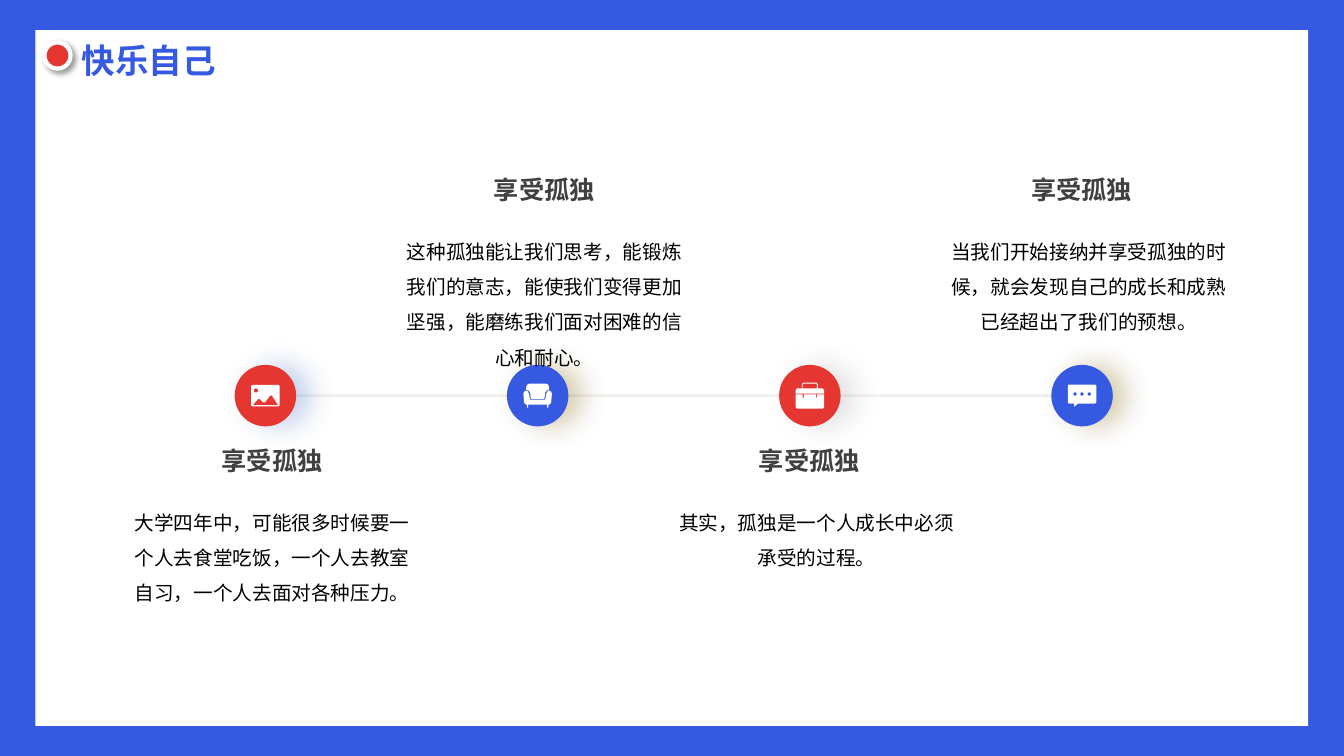
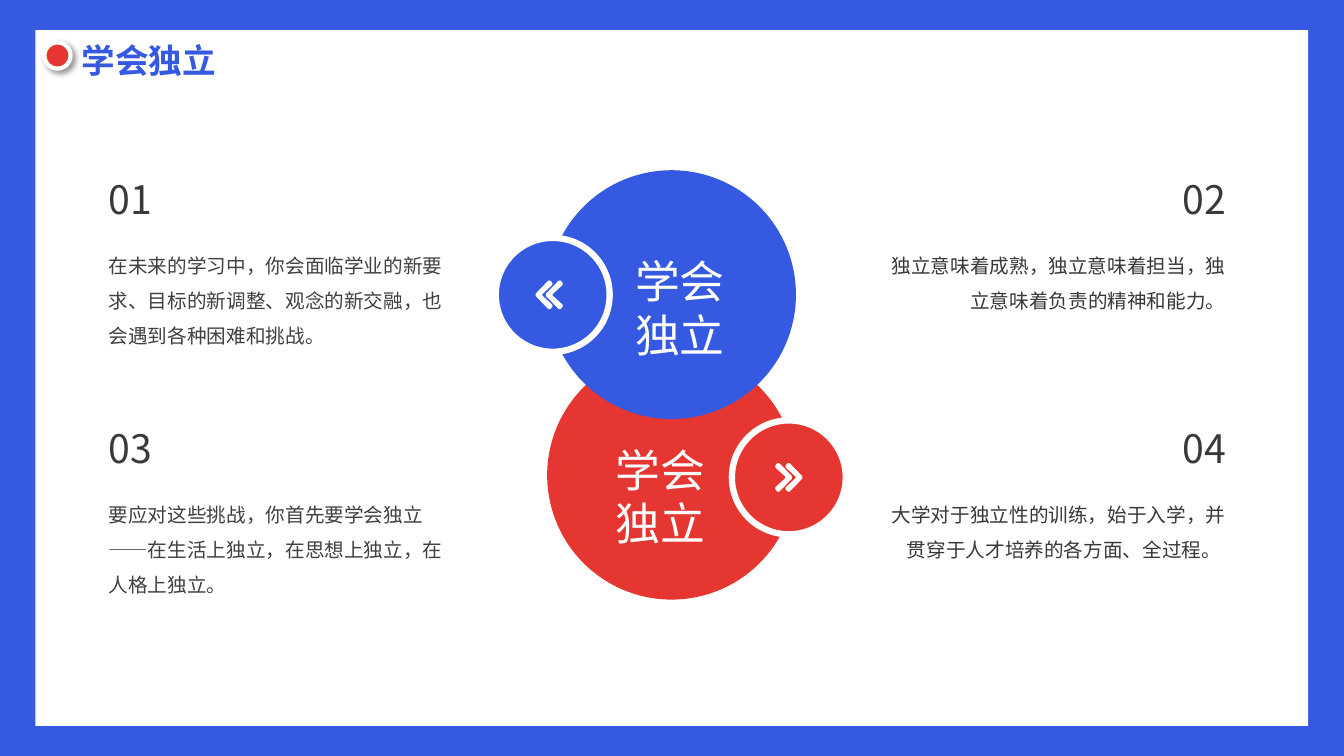
"""Build two framed slides: a four-step timeline and a pair of linked circles."""
from dataclasses import dataclass
from math import cos, pi, sin

from pptx import Presentation
from pptx.dml.color import RGBColor as RGB
from pptx.enum.shapes import MSO_CONNECTOR as Link, MSO_SHAPE as Kind
from pptx.enum.text import MSO_ANCHOR as Anchor, MSO_AUTO_SIZE as Fit, PP_ALIGN as Align
from pptx.oxml.ns import qn
from pptx.oxml.xmlchemy import OxmlElement as Node
from pptx.util import Cm, Pt


@dataclass(frozen=True)
class Theme:
    face: str = "Noto Sans CJK SC"
    blue: str = "3559E1"
    red: str = "E53631"
    white: str = "FFFFFF"
    black: str = "000000"
    gray: str = "404040"
    dark: str = "3B3838"
    soft: str = "383838"
    rule: str = "808080"
    title: int = 24
    head: int = 18
    body: int = 14
    num: int = 28
    big: int = 32


T = Theme()


def paint(shape, fill, line=None, width=0, glow=None):
    shape.shadow.inherit = False
    shape.fill.solid()
    shape.fill.fore_color.rgb = RGB.from_string(fill)
    if line:
        shape.line.color.rgb = RGB.from_string(line)
        shape.line.width = Pt(width)
    else:
        shape.line.fill.background()
    if glow:
        tint, alpha, blur, dist, angle = glow
        cast, color, clear = Node("a:outerShdw"), Node("a:srgbClr"), Node("a:alpha")
        for key, val in {"blurRad": Pt(blur), "dist": Pt(dist), "dir": angle * 60000,
                         "algn": "ctr", "rotWithShape": 0}.items():
            cast.set(key, str(val))
        color.set("val", tint)
        clear.set("val", str(alpha * 1000))
        color.append(clear)
        cast.append(color)
        shape.element.spPr.find(qn("a:effectLst")).append(cast)
    return shape


def write(shape, text, size, color, align=Align.LEFT, bold=False, space=1.0, fit=Fit.SHAPE_TO_FIT_TEXT):
    frame = shape.text_frame
    para = frame.paragraphs[0]
    run = para.add_run()
    run.text = text
    run.font.color.rgb = RGB.from_string(color)
    for part, vals in (
        (frame, {"word_wrap": True, "auto_size": fit, "vertical_anchor": Anchor.TOP}),
        (para, {"alignment": align, "line_spacing": space}),
        (run.font, {"name": T.face, "size": Pt(size), "bold": bold}),
    ):
        for key, val in vals.items():
            setattr(part, key, val)
    east = Node("a:ea")
    east.set("typeface", T.face)
    run.font._element.find(qn("a:latin")).addnext(east)


deck = Presentation()
deck.slide_width, deck.slide_height = Cm(33.87), Cm(19.05)
plain = deck.slide_layouts[5]

pages = []
for name in ("快乐自己", "学会独立"):
    page = deck.slides.add_slide(plain)
    title = page.shapes.title
    for key, val in {"left": 1.8, "top": 0.89, "width": 9.93, "height": 1.27}.items():
        setattr(title, key, Cm(val))
    write(title, name, T.title, T.blue, bold=True, fit=Fit.NONE)
    pages.append(page)
lone, free = pages

frame = (
    (Kind.RECTANGLE, (0, 0, 33.87, 19.05), {"fill": T.blue}),
    (Kind.RECTANGLE, (0.89, 0.76, 32.08, 17.53), {"fill": T.white}),
    (Kind.OVAL, (1.12, 1.07, 0.66, 0.66),
     {"fill": T.red, "line": T.white, "width": 3, "glow": (T.black, 40, 4, 3, 45)}),
)
for n, (kind, box, look) in enumerate(frame):
    band = paint(lone.shapes.add_shape(kind, *map(Cm, box)), **look).element
    band.find(".//" + qn("p:cNvPr")).set("id", str(20 + n))
    plain.shapes.element.insert(2 + n, band)

ring = [(cos(k * pi / 8), sin(k * pi / 8)) for k in range(16)]
photo = [
    [(-36, -24), (-33, -27), (33, -27), (36, -24), (36, 24), (33, 27), (-33, 27), (-36, 24)],
    [(17, 1), (14, -1), (11, 1), (-1, 17), (-6, 17), (-14, 9), (-19, 9), (-32, 24), (32, 24)],
    [(-24 + 5 * x, -13 + 5 * y) for x, y in ring],
]
sofa = [
    [(19, 10), (22, -5), (25, -11), (29, -13), (34, -10), (36, -5), (34, 18), (29, 23),
     (27, 23), (27, 30), (24, 30), (24, 23)],
    [(17, 8), (19, -8), (23, -13), (29, -15), (29, -20), (27, -27), (22, -30)],
]
case = [
    [(15, -3), (15, 5), (18, 5), (18, -3), (36, -3), (36, 28), (33, 33)],
    [(17, -33), (20, -28), (20, -18), (33, -18), (36, -13), (36, -5)],
    [(15, -30), (18, -28), (18, -18)],
]
sofa, case = ([half + [(-x, y) for x, y in half[::-1]] for half in icon] for icon in (sofa, case))
chat = [[(-33, -28), (33, -28), (36, -25), (36, 17), (33, 20), (-10, 20), (-20, 28),
         (-20, 20), (-33, 20), (-36, 17), (-36, -25)]]
chat += [[(mid + 4 * x, -4 + 4 * y) for x, y in ring] for mid in (-18, 0, 18)]
hook = [(10, 36), (5, 36), (0, 30), (0, 25), (25, 2), (25, -2), (0, -25), (0, -30),
        (5, -36), (10, -36), (42, -3), (42, 3)]
ahead = [[(x + start, y) for x, y in hook] for start in (-34, -8)]
back = [[(-x, y) for x, y in part] for part in ahead]
icons = []

axis, size, first, step = 9.97, 1.55, 6.69, 6.86
rail = lone.shapes.add_connector(Link.STRAIGHT, Cm(first + size / 2), Cm(axis),
                                 Cm(first + 3 * step - size / 2), Cm(axis))
rail.line.color.rgb = RGB.from_string(T.rule)
rail.line.width = Pt(1.5)
fade = Node("a:alpha")
fade.set("val", "15000")
rail.element.find(".//" + qn("a:srgbClr")).append(fade)
rail.element.spPr.append(Node("a:effectLst"))

steps = (
    ("大学四年中，可能很多时候要一个人去食堂吃饭，一个人去教室自习，一个人去面对各种压力。",
     photo, "4472C4", 2.84),
    ("这种孤独能让我们思考，能锻炼我们的意志，能使我们变得更加坚强，能磨练我们面对困难的信心和耐心。",
     sofa, "806000", 3.73),
    ("其实，孤独是一个人成长中必须承受的过程。", case, "A5A5A5", 1.96),
    ("当我们开始接纳并享受孤独的时候，就会发现自己的成长和成熟已经超出了我们的预想。",
     chat, "806000", 2.84),
)
for n, (text, icon, tint, tall) in enumerate(steps):
    mid, left = first + n * step, 2.95 + n * step
    top = (11.1, 4.27)[n % 2]
    shift, wide = ((0, 7.82), (0.97, 5.51))[n // 2]
    disc = lone.shapes.add_shape(Kind.OVAL, Cm(mid - size / 2), Cm(axis - size / 2), Cm(size), Cm(size))
    paint(disc, (T.red, T.blue)[n % 2], glow=(tint, 32, 20, 10, 0))
    icons.append((lone, mid, axis, icon))
    write(lone.shapes.add_textbox(Cm(left + shift), Cm(top), Cm(wide), Cm(1.02)),
          "享受孤独", T.head, T.gray, Align.CENTER, bold=True)
    write(lone.shapes.add_textbox(Cm(left), Cm(top + 1.35), Cm(7.82), Cm(tall)),
          text, T.body, T.black, Align.CENTER, space=1.5)

notes = (
    ("在未来的学习中，你会面临学业的新要求、目标的新调整、观念的新交融，也会遇到各种困难和挑战。", 2.82),
    ("独立意味着成熟，独立意味着担当，独立意味着负责的精神和能力。", 1.96),
    ("要应对这些挑战，你首先要学会独立——在生活上独立，在思想上独立，在人格上独立。", 2.82),
    ("大学对于独立性的训练，始于入学，并贯穿于人才培养的各方面、全过程。 ", 1.96),
)
for n, (text, tall) in enumerate(notes):
    row, col = divmod(n, 2)
    left, side, color = ((2.49, Align.LEFT, T.gray), (21.89, Align.RIGHT, T.soft))[col]
    top = 4.29 + row * 6.28
    write(free.shapes.add_textbox(Cm(left), Cm(top), Cm(9.25), Cm(1.45)),
          f"{n + 1:02}", T.num, T.dark, side)
    write(free.shapes.add_textbox(Cm(left), Cm(top + 1.68), Cm(9.25), Cm(tall)),
          text, T.body, color, side, space=1.5)

for color, top, x, y in ((T.red, 8.84, 14.78, 11.02), (T.blue, 4.29, 15.27, 6.27)):
    paint(free.shapes.add_shape(Kind.OVAL, Cm(13.79), Cm(top), Cm(6.27), Cm(6.27)), color)
    write(free.shapes.add_textbox(Cm(x), Cm(y), Cm(3.73), Cm(3)),
          "学会独立", T.big, T.white, Align.CENTER)

badge = 2.87
for color, x, y, icon, shift in ((T.red, 19.88, 12.03, ahead, 0), (T.blue, 13.93, 7.43, back, -0.09)):
    disc = free.shapes.add_shape(Kind.OVAL, Cm(x - badge / 2), Cm(y - badge / 2), Cm(badge), Cm(badge))
    paint(disc, color, T.white, 4.5)
    icons.append((free, x + shift, y, icon))

for page, x, y, icon in icons:
    pen = page.shapes.build_freeform(*icon[0][0], scale=Cm(0.01))
    pen.add_line_segments(icon[0][1:])
    for part in icon[1:]:
        pen.move_to(*part[0])
        pen.add_line_segments(part[1:])
    paint(pen.convert_to_shape(Cm(x), Cm(y)), T.white)

deck.save("out.pptx")
